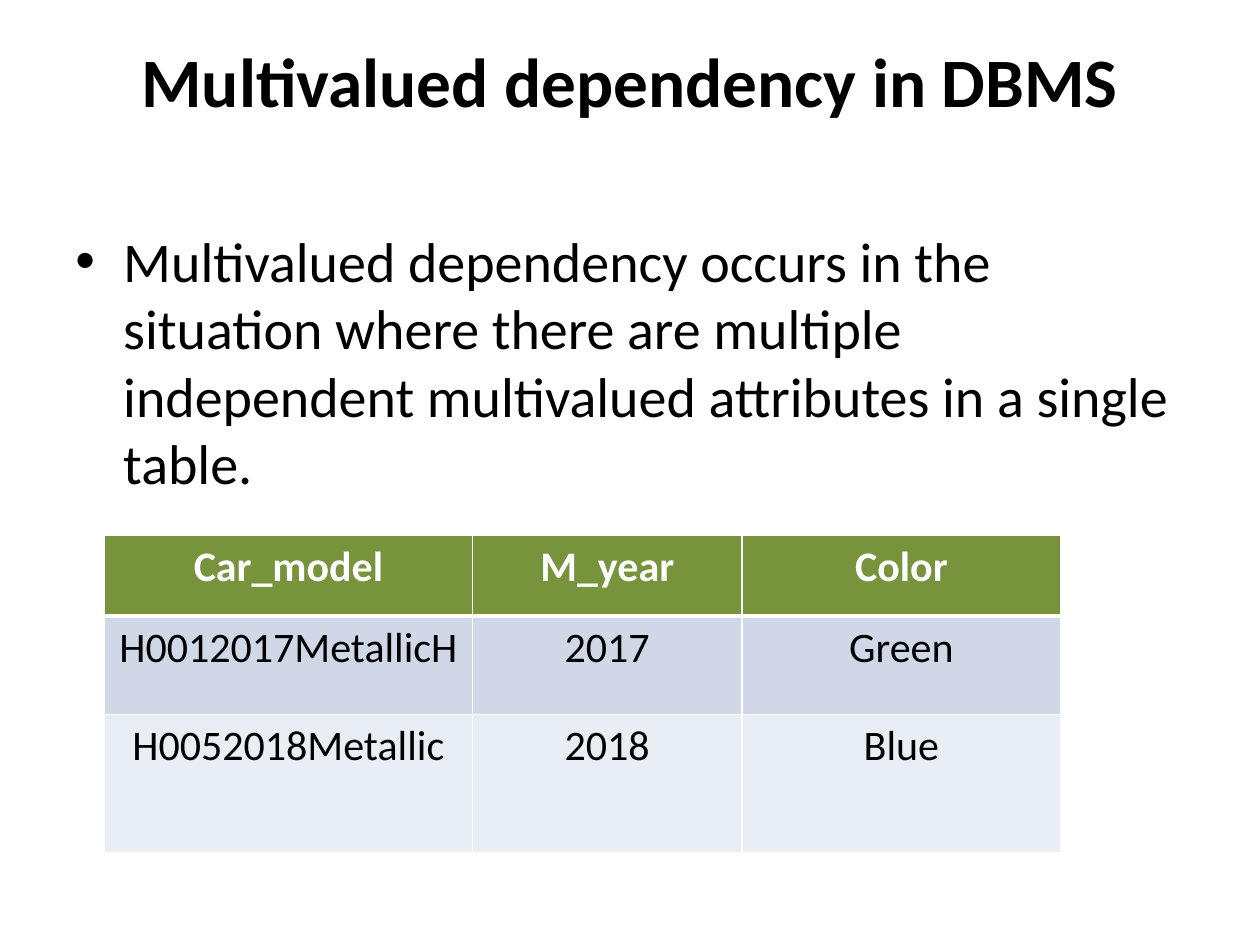
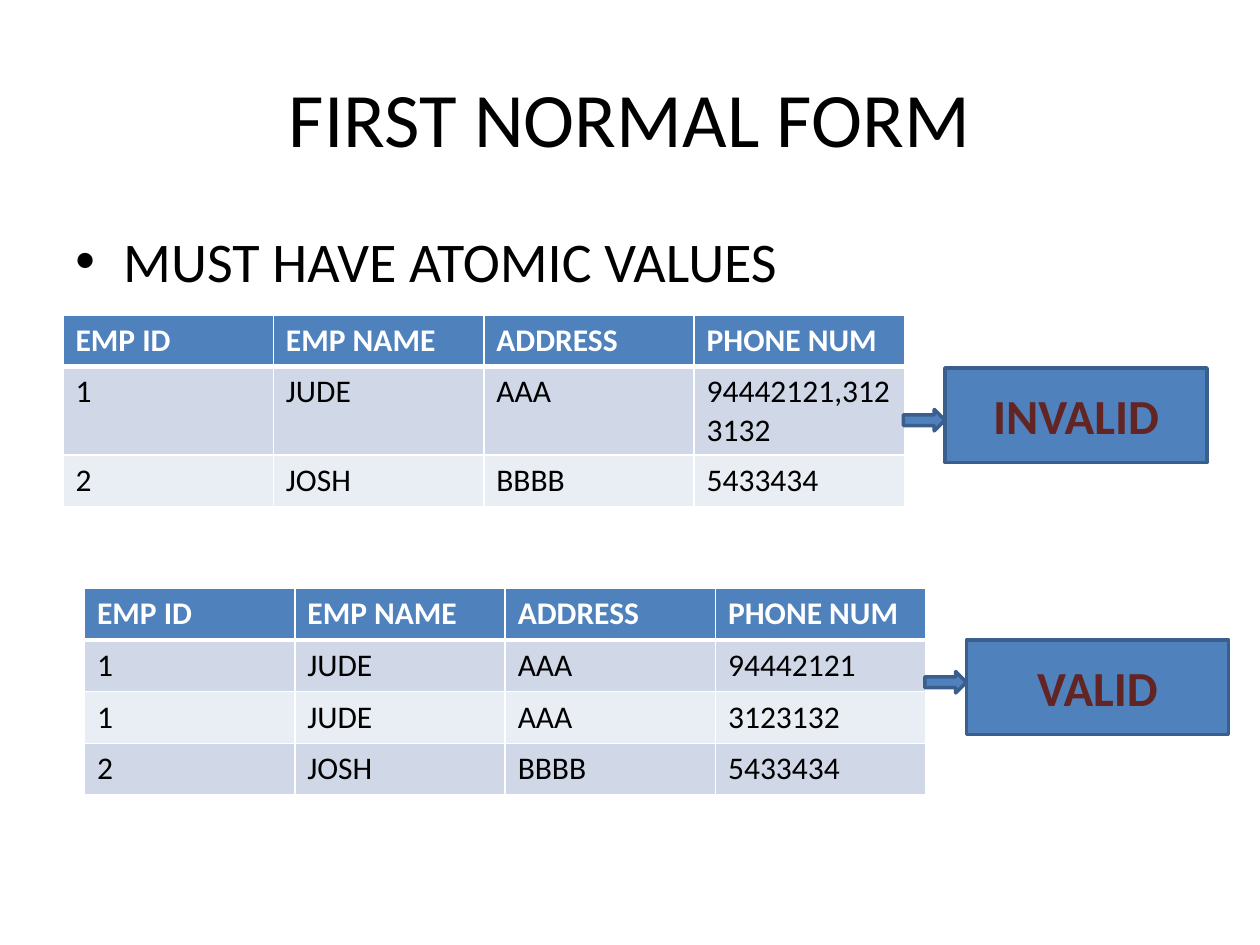
from dataclasses import dataclass

from lxml import etree
from pptx import Presentation
from pptx.dml.color import RGBColor
from pptx.enum.shapes import MSO_SHAPE
from pptx.enum.text import MSO_ANCHOR, PP_ALIGN
from pptx.oxml.ns import qn
from pptx.util import Inches, Pt

LEFT, CENTER = PP_ALIGN.LEFT, PP_ALIGN.CENTER
TOP, MIDDLE = MSO_ANCHOR.TOP, MSO_ANCHOR.MIDDLE
ARROW, RECTANGLE = MSO_SHAPE.RIGHT_ARROW, MSO_SHAPE.RECTANGLE


@dataclass(frozen=True)
class Theme:
    font: str = "Calibri"
    black: str = "000000"
    white: str = "FFFFFF"
    blue: str = "4F81BD"
    blue_edge: str = "3A5F8C"
    green: str = "77933C"
    bands: tuple = ("D0D8E8", "E9EDF4")
    verdict_text: str = "632523"
    verdict_outline: str = "7030A0"
    title_size: float = 44
    long_title_size: float = 39.6
    body_size: float = 32
    verdict_size: float = 28
    car_size: float = 24
    employee_size: float = 18


THEME = Theme()


def write(frame, text, size, color, bold=False, align=LEFT):
    paragraph = frame.paragraphs[0]
    paragraph.text = text
    paragraph.alignment = align
    paragraph.font.name = THEME.font
    paragraph.font.size = Pt(size)
    paragraph.font.bold = bold
    paragraph.font.color.rgb = RGBColor.from_string(color)
    return paragraph


def add_grid(slide, left, top, widths, heights, rows, size, header_fill, align):
    """Add a table with a coloured header, banded rows and white rules."""
    table = slide.shapes.add_table(
        len(rows), len(widths), Inches(left), Inches(top),
        Inches(sum(widths)), Inches(sum(heights))).table
    for column, width in zip(table.columns, widths):
        column.width = Inches(width)
    for index, (row, height, values) in enumerate(zip(table.rows, heights, rows)):
        row.height = Inches(height)
        is_header = index == 0
        fill = header_fill if is_header else THEME.bands[(index - 1) % 2]
        color = THEME.white if is_header else THEME.black
        for cell, value in zip(row.cells, values):
            write(cell.text_frame, value, size, color, is_header, align)
            properties = cell._tc.get_or_add_tcPr()
            for side in ("lnL", "lnR", "lnT", "lnB"):
                thick = (is_header and side == "lnB") or (index == 1 and side == "lnT")
                rule = etree.SubElement(properties, qn(f"a:{side}"), w=str(Pt(3 if thick else 1)))
                rule_fill = etree.SubElement(rule, qn("a:solidFill"))
                etree.SubElement(rule_fill, qn("a:srgbClr"), val=THEME.white)
            cell.fill.solid()
            cell.fill.fore_color.rgb = RGBColor.from_string(fill)


prs = Presentation()
prs.slide_width, prs.slide_height = Inches(10), Inches(7.5)

# Title and bullet on each slide
topics = [
    ("Multivalued dependency in DBMS", THEME.long_title_size, True, TOP,
     "Multivalued dependency occurs in the situation where there are multiple "
     "independent multivalued attributes in a single table."),
    ("FIRST NORMAL FORM", THEME.title_size, False, MIDDLE, "MUST HAVE ATOMIC VALUES"),
]
slides = []
for title, title_size, bold, anchor, point in topics:
    slide = prs.slides.add_slide(prs.slide_layouts[6])
    slides.append(slide)

    heading = slide.shapes.add_textbox(Inches(0.5), Inches(0.3), Inches(9), Inches(1.25)).text_frame
    heading.word_wrap = True
    heading.vertical_anchor = anchor
    heading.margin_top = heading.margin_bottom = 0
    write(heading, title, title_size, THEME.black, bold, CENTER)

    body = slide.shapes.add_textbox(Inches(0.5), Inches(1.75), Inches(9), Inches(4.95)).text_frame
    body.word_wrap = True
    bullet_properties = body.paragraphs[0]._p.get_or_add_pPr()
    bullet_properties.set("marL", str(Inches(0.38)))
    bullet_properties.set("indent", str(Inches(-0.38)))
    etree.SubElement(bullet_properties, qn("a:buFont"), typeface="Arial")
    etree.SubElement(bullet_properties, qn("a:buChar"), char="•")
    write(body, point, THEME.body_size, THEME.black)

dependency_slide, normal_form_slide = slides

# Car table
cars = [
    ("Car_model", "M_year", "Color"),
    ("H0012017MetallicH", "2017", "Green"),
    ("H0052018Metallic", "2018", "Blue"),
]
add_grid(dependency_slide, 0.83, 4.25, (2.92, 2.14, 2.53), (0.64, 0.78, 1.1),
         cars, THEME.car_size, THEME.green, CENTER)

# Employee tables, each pointing at its verdict
employee_header = ("EMP ID", "EMP NAME", "ADDRESS", "PHONE NUM")
josh = ("2", "JOSH", "BBBB", "5433434")
cases = [
    ("INVALID", 0.5, 2.5, 3.25, 2.92, [("1", "JUDE", "AAA", "94442121,3123132"), josh]),
    ("VALID", 0.67, 4.67, 5.33, 5.08,
     [("1", "JUDE", "AAA", "94442121"), ("1", "JUDE", "AAA", "3123132"), josh]),
]
for verdict, left, top, arrow_top, verdict_top, employees in cases:
    rows = [employee_header, *employees]
    add_grid(normal_form_slide, left, top, [1.67] * 4, [0.41] * len(rows),
             rows, THEME.employee_size, THEME.blue, LEFT)
    table_right = left + 6.67
    arrow = normal_form_slide.shapes.add_shape(
        ARROW, Inches(table_right), Inches(arrow_top), Inches(0.33), Inches(0.17))
    verdict_box = normal_form_slide.shapes.add_shape(
        RECTANGLE, Inches(table_right + 0.33), Inches(verdict_top), Inches(2.08), Inches(0.75))
    for shape in (arrow, verdict_box):
        shape.shadow.inherit = False
        shape.fill.solid()
        shape.fill.fore_color.rgb = RGBColor.from_string(THEME.blue)
        shape.line.color.rgb = RGBColor.from_string(THEME.blue_edge)
        shape.line.width = Pt(2)
    verdict_box.text_frame.vertical_anchor = MIDDLE
    label = write(verdict_box.text_frame, verdict, THEME.verdict_size,
                  THEME.verdict_text, True, CENTER)
    outline = etree.Element(qn("a:ln"), w=str(Pt(1.42)))
    outline_fill = etree.SubElement(outline, qn("a:solidFill"))
    etree.SubElement(outline_fill, qn("a:srgbClr"), val=THEME.verdict_outline)
    label.runs[0]._r.get_or_add_rPr().insert(0, outline)

prs.save("out.pptx")
